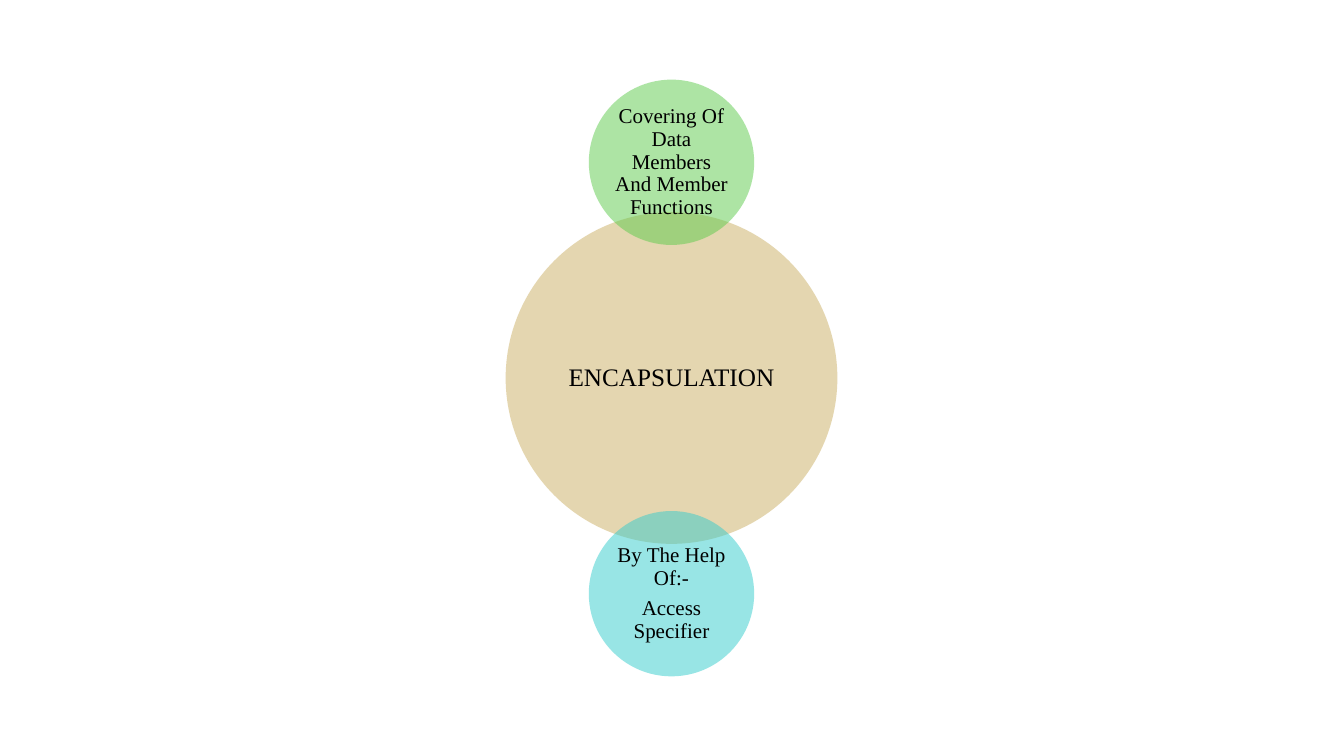
from lxml import etree
from pptx import Presentation
from pptx.dml.color import RGBColor
from pptx.enum.shapes import MSO_SHAPE
from pptx.enum.text import MSO_ANCHOR, PP_ALIGN
from pptx.oxml.ns import qn
from pptx.util import Inches, Pt

OVAL = MSO_SHAPE.OVAL
MIDDLE = MSO_ANCHOR.MIDDLE
CENTER = PP_ALIGN.CENTER

BLANK_LAYOUT = 6
FONT = "Times New Roman"
CENTER_X, CENTER_Y = 6.66, 3.75
HUB_DIAMETER, SATELLITE_DIAMETER = 3.29, 1.64
ORBIT = 2.14
SPACE_AFTER_RATIO = 0.35


def rgb(hex_color):
    return RGBColor.from_string(hex_color)


def set_translucent_fill(shape, hex_color, opacity=50):
    shape.fill.solid()
    shape.fill.fore_color.rgb = rgb(hex_color)
    color = shape.fill._xPr.find(qn("a:solidFill"))[0]
    etree.SubElement(color, qn("a:alpha")).set("val", str(opacity * 1000))


def set_text(shape, lines, size, inset):
    frame = shape.text_frame
    margin = Inches(inset)
    frame_format = {
        "word_wrap": True, "vertical_anchor": MIDDLE,
        "margin_left": margin, "margin_right": margin,
        "margin_top": margin, "margin_bottom": margin,
    }
    for name, value in frame_format.items():
        setattr(frame, name, value)
    frame.text = "\n".join(lines)
    paragraph_format = {
        "alignment": CENTER, "line_spacing": 0.9,
        "space_after": Pt(size * SPACE_AFTER_RATIO),
    }
    for paragraph in frame.paragraphs:
        for name, value in paragraph_format.items():
            setattr(paragraph, name, value)
        paragraph.font.name = FONT
        paragraph.font.size = Pt(size)
        paragraph.font.color.rgb = rgb("000000")


def add_circle(slide, offset_y, diameter, hex_color, lines, size, inset):
    """Add a labelled circle centred offset_y inches below the hub's centre."""
    left = CENTER_X - diameter / 2
    top = CENTER_Y + offset_y - diameter / 2
    circle = slide.shapes.add_shape(
        OVAL, Inches(left), Inches(top), Inches(diameter), Inches(diameter))
    circle.shadow.inherit = False
    circle.line.fill.background()
    set_translucent_fill(circle, hex_color)
    set_text(circle, lines, size, inset)


def main():
    presentation = Presentation()
    presentation.slide_width = Inches(13.33)
    presentation.slide_height = Inches(7.5)
    slide = presentation.slides.add_slide(presentation.slide_layouts[BLANK_LAYOUT])

    add_circle(slide, 0, HUB_DIAMETER, "CBAF62", ["ENCAPSULATION"], 18, 0.03)
    satellites = [
        (-ORBIT, "5CCB4B", ["Covering Of Data Members And Member Functions"]),
        (ORBIT, "33CCCC", ["By The Help Of:-", "Access Specifier"]),
    ]
    for offset_y, hex_color, lines in satellites:
        add_circle(slide, offset_y, SATELLITE_DIAMETER, hex_color, lines, 15, 0.02)

    presentation.save("out.pptx")


if __name__ == "__main__":
    main()
